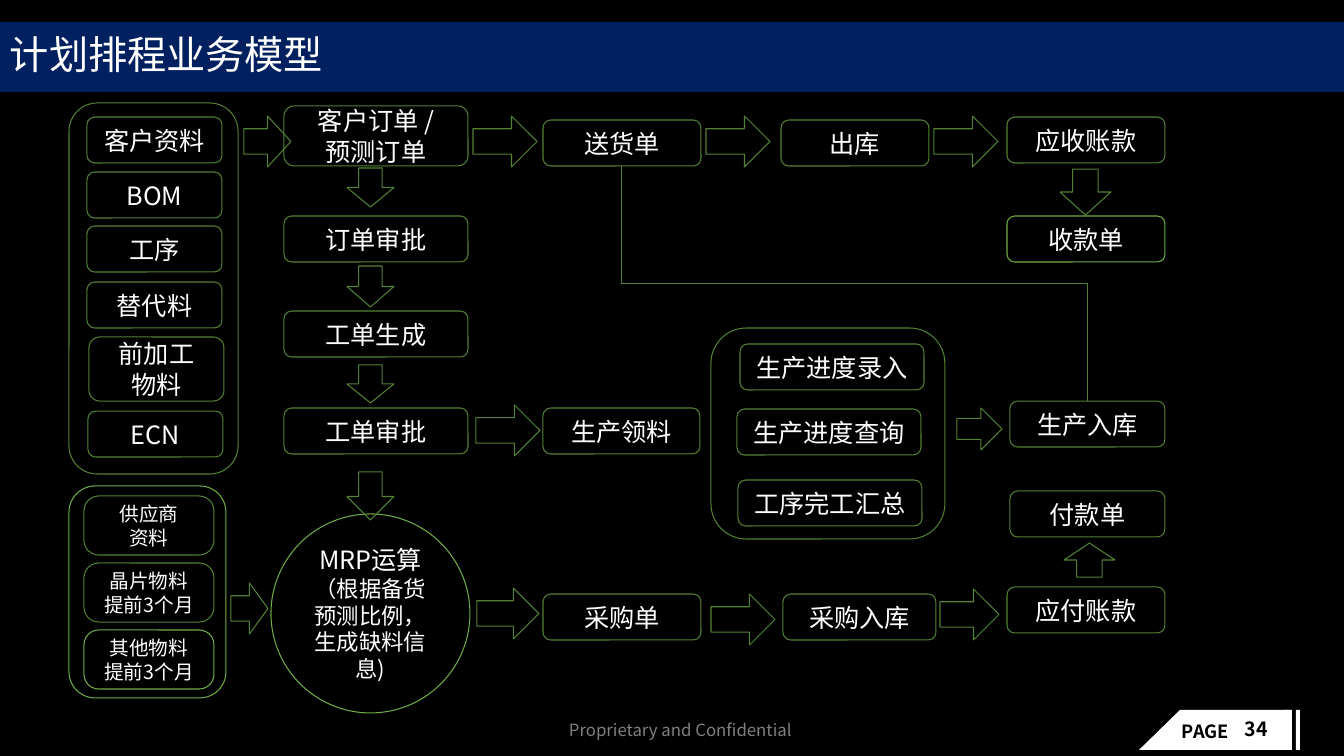
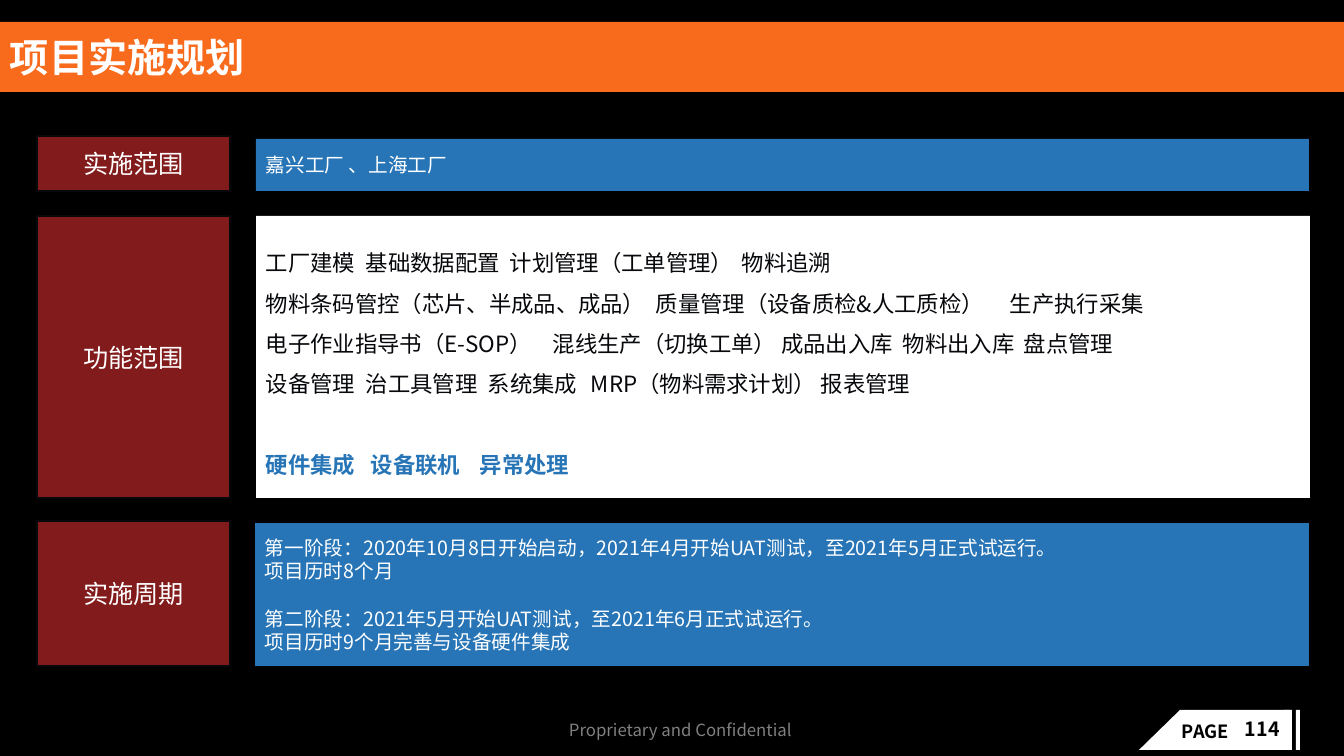
"""Build two planning slides: a scheduling flow and a project scope table."""
from dataclasses import dataclass
from typing import Optional, Sequence

from lxml import etree
from pptx import Presentation
from pptx import util as u
from pptx.dml.color import RGBColor
from pptx.enum import shapes, text
from pptx.oxml import ns

EMU_PER_INCH = 914400
PX_PER_INCH = 100.8
W, H = 1344, 756
SHAPE = shapes.MSO_SHAPE
ALIGN = text.PP_ALIGN


@dataclass(frozen=True)
class Theme:
    """Colours, font and type sizes."""
    font: str = "Noto Sans CJK SC"
    back: str = "000000"
    white: str = "FFFFFF"
    ink: str = "07080B"
    grey: str = "808080"
    navy: str = "002060"
    orange: str = "F86B1D"
    red: str = "DE3031"
    blue: str = "2775B6"
    green: str = "548235"
    bright: str = "70AD47"
    title: int = 28
    node: int = 18
    body: int = 16
    small: int = 14
    tag: int = 13
    footer: int = 12


T = Theme()


@dataclass(frozen=True)
class Box:
    """Position and size in px."""
    x: int
    y: int
    w: int
    h: int


@dataclass(frozen=True)
class Para:
    """A paragraph; cells are separated by tab stops given in px."""
    cells: tuple[str, ...]
    size: int = T.node
    color: str = T.white
    bold: bool = False
    spacing: Optional[float] = None
    before: int = 0
    tabs: tuple[int, ...] = ()


@dataclass(frozen=True)
class Node:
    """A rounded step of the flow."""
    lines: tuple[str, ...]
    box: Box
    size: int = T.node
    line: str = T.green
    corner: Optional[float] = None


@dataclass(frozen=True)
class Arrow:
    """A hollow block arrow."""
    kind: SHAPE
    box: Box


@dataclass(frozen=True)
class ScopeRow:
    """A label with its content panel."""
    label: str
    label_box: Box
    box: Box
    fill: str
    paras: tuple[Para, ...]


def px(n: float) -> int:
    """Turn px into EMU."""
    return u.Emu(round(n * EMU_PER_INCH / PX_PER_INCH))


def place(box: Box) -> tuple[int, ...]:
    """Give a box as EMU arguments."""
    return tuple(px(n) for n in (box.x, box.y, box.w, box.h))


def rgb(color: str) -> RGBColor:
    """Parse a hex colour."""
    return RGBColor.from_string(color)


def write(sp, paras: Sequence[Para], align=ALIGN.LEFT, wrap: bool = True,
          anchor=text.MSO_ANCHOR.MIDDLE) -> None:
    """Fill a shape with paragraphs."""
    tf = sp.text_frame
    tf.word_wrap = wrap
    tf.vertical_anchor = anchor
    for i, para in enumerate(paras):
        p = tf.paragraphs[0] if i == 0 else tf.add_paragraph()
        p.alignment = align
        if para.spacing:
            p.line_spacing = para.spacing
        if para.before:
            p.space_before = u.Pt(para.before)
        if para.tabs:
            stops = etree.SubElement(p._p.get_or_add_pPr(), ns.qn("a:tabLst"))
            for stop in para.tabs:
                etree.SubElement(stops, ns.qn("a:tab"), pos=str(px(stop)), algn="l")
        r = p.add_run()
        r.text = "\t".join(para.cells)
        r.font.size = u.Pt(para.size)
        r.font.bold = para.bold
        r.font.color.rgb = rgb(para.color)
        r.font.name = T.font
        etree.SubElement(r.font._element, ns.qn("a:ea"), typeface=T.font)


def draw(s, kind: SHAPE, box: Box, fill: Optional[str] = None,
         line: Optional[str] = None, width: float = 0.75):
    """Add a preset shape without shadow."""
    sp = s.shapes.add_shape(kind, *place(box))
    sp.shadow.inherit = False
    if fill:
        sp.fill.solid()
        sp.fill.fore_color.rgb = rgb(fill)
    else:
        sp.fill.background()
    if line:
        sp.line.color.rgb = rgb(line)
        sp.line.width = u.Pt(width)
    else:
        sp.line.fill.background()
    return sp


def label(s, box: Box, para: Para) -> None:
    """Add a one-line text box."""
    write(s.shapes.add_textbox(*place(box)), [para], wrap=False,
          anchor=text.MSO_ANCHOR.TOP)


def base_slide(prs, title: str, band: str, page: int, bold: bool = False):
    """Add a slide with background, title band and footer."""
    s = prs.slides.add_slide(prs.slide_layouts[6])
    s.background.fill.solid()
    s.background.fill.fore_color.rgb = rgb(T.back)
    for box in (Box(1180, 710, 110, 40), Box(1284, 710, 8, 40), Box(1296, 710, 4, 40)):
        draw(s, SHAPE.RECTANGLE, box, T.white)
    corner = draw(s, SHAPE.RIGHT_TRIANGLE, Box(1139, 710, 41, 40), T.white)
    corner._element.spPr.find(ns.qn("a:xfrm")).set("flipH", "1")
    label(s, Box(1172, 715, 74, 32), Para(("PAGE",), T.tag, T.back, True))
    label(s, Box(1235, 715, 58, 32), Para((str(page),), T.small, T.back, True, 0.9))
    label(s, Box(559, 715, 258, 30),
          Para(("Proprietary and Confidential",), T.footer, T.grey))
    sp = draw(s, SHAPE.RECTANGLE, Box(0, 22, W, 70), band)
    write(sp, [Para((title,), T.title, bold=bold, spacing=0.9)])
    if bold:
        sp.text_frame.margin_bottom = 0
    return s


def draw_node(s, node: Node):
    """Draw a step of the flow."""
    sp = draw(s, SHAPE.ROUNDED_RECTANGLE, node.box, line=node.line)
    if node.corner:
        sp.adjustments[0] = node.corner
    write(sp, [Para((t,), node.size) for t in node.lines], ALIGN.CENTER)
    return sp


def elbow_up(s, lower, upper) -> None:
    """Join a top side to a bottom side further up and to the left."""
    c = s.shapes.add_connector(shapes.MSO_CONNECTOR.ELBOW, 0, 0, 0, 0)
    c.begin_connect(lower, 0)
    c.end_connect(upper, 2)
    across, rise = c.begin_x - c.end_x, c.begin_y - c.end_y
    mid_x, mid_y = (c.begin_x + c.end_x) // 2, (c.begin_y + c.end_y) // 2
    xfrm = c._element.spPr.find(ns.qn("a:xfrm"))
    xfrm.attrib.pop("flipH", None)
    xfrm.set("flipV", "1")
    xfrm.set("rot", str(270 * 60000))
    c.left, c.top = mid_x - rise // 2, mid_y - across // 2
    c.width, c.height = rise, across
    c.line.color.rgb = rgb(T.green)
    c.line.width = u.Pt(0.75)
    etree.SubElement(c._element.spPr, ns.qn("a:effectLst"))


def step(name: str, x: int, y: int, w: int, line: str = T.green) -> Node:
    """Describe a one-line step of standard height."""
    return Node((name,), Box(x, y, w, 46), line=line)


MASTER_DATA = [step(name, x, y, 135) for name, x, y in (
    ("客户资料", 87, 117), ("BOM", 87, 172), ("工序", 87, 226),
    ("替代料", 87, 282), ("ECN", 88, 411))]
SUPPLY_DATA = [
    Node(lines, Box(84, 496 + 67 * i, 130, 59), T.small, line, 0.25)
    for i, (lines, line) in enumerate((
        (("供应商", "资料"), T.green),
        (("晶片物料", "提前3个月"), T.green),
        (("其他物料", "提前3个月"), T.bright)))]
STEPS = [
    Node(("前加工", "物料"), Box(89, 337, 135, 64)),
    Node(("客户订单 /", "预测订单"), Box(284, 106, 184, 60)),
    step("订单审批", 284, 216, 184),
    step("工单生成", 284, 311, 184),
    step("工单审批", 284, 408, 184),
    step("出库", 781, 120, 148),
    step("应收账款", 1007, 117, 158),
    step("收款单", 1007, 216, 158, T.bright),
    step("生产领料", 543, 408, 157),
    step("生产进度录入", 740, 344, 184),
    step("生产进度查询", 737, 409, 184),
    step("工序完工汇总", 738, 480, 184),
    step("付款单", 1010, 491, 155),
    step("采购单", 543, 594, 158),
    step("采购入库", 783, 594, 153),
    step("应付账款", 1007, 587, 158),
]
DELIVERY = step("送货单", 543, 120, 158)
STOCK_IN = step("生产入库", 1010, 401, 155)
PANELS = ((Box(69, 103, 169, 371), T.green), (Box(711, 328, 234, 211), T.green),
          (Box(69, 486, 157, 212), T.bright))
ARROWS = [Arrow(SHAPE.DOWN_ARROW, Box(347, y, 47, h))
          for y, h in ((168, 39), (266, 41), (365, 38), (472, 48))]
ARROWS += [Arrow(SHAPE.RIGHT_ARROW, Box(x, y, w, 51)) for x, y, w in (
    (244, 116, 47), (473, 116, 64), (706, 116, 64), (934, 116, 64), (476, 405, 64),
    (231, 583, 37), (477, 588, 62), (711, 594, 64), (940, 589, 59))]
ARROWS += [Arrow(SHAPE.RIGHT_ARROW, Box(957, 408, 45, 42)),
           Arrow(SHAPE.DOWN_ARROW, Box(1060, 169, 51, 46)),
           Arrow(SHAPE.UP_ARROW, Box(1064, 543, 51, 34))]

FEATURES = (
    (("工厂建模", "基础数据配置", "计划管理（工单管理）", "物料追溯"), (100, 244, 476)),
    (("物料条码管控（芯片、半成品、成品）", "质量管理（设备质检&人工质检）", "生产执行采集"),
     (390, 744)),
    (("电子作业指导书（E-SOP）", "混线生产（切换工单） 成品出入库", "物料出入库", "盘点管理"),
     (287, 637, 758)),
    (("设备管理", "治工具管理", "系统集成", "MRP（物料需求计划） 报表管理"), (100, 222, 325)),
)
PHASES = (
    ("第一阶段：2020年10月8日开始启动，2021年4月开始UAT测试，至2021年5月正式试运行。", 0),
    ("项目历时8个月", 0),
    ("第二阶段：2021年5月开始UAT测试，至2021年6月正式试运行。", 17),
    ("项目历时9个月完善与设备硬件集成", 0),
)
ROWS = (
    ScopeRow("实施范围", Box(37, 136, 193, 55), Box(256, 139, 1053, 52), T.blue,
             (Para(("嘉兴工厂 、上海工厂",), T.small),)),
    ScopeRow("功能范围", Box(37, 216, 193, 282), Box(256, 216, 1054, 282), T.white,
             tuple(Para(cells, T.body, T.ink, spacing=1.5, tabs=tabs)
                   for cells, tabs in FEATURES)
             + (Para(("硬件集成", "设备联机", "异常处理"), T.body, T.blue, True, 1.5, 29,
                     (105, 214)),)),
    ScopeRow("实施周期", Box(37, 521, 193, 145), Box(255, 523, 1054, 143), T.blue,
             tuple(Para((line,), T.small, before=gap) for line, gap in PHASES)),
)


def flow_slide(prs) -> None:
    """Draw the scheduling flow."""
    s = base_slide(prs, "计划排程业务模型", T.navy, 34)
    for box, line in PANELS:
        draw(s, SHAPE.ROUNDED_RECTANGLE, box, line=line)
    for node in MASTER_DATA + SUPPLY_DATA + STEPS:
        draw_node(s, node)
    mrp = draw(s, SHAPE.OVAL, Box(271, 514, 199, 199), line=T.bright)
    write(mrp, [Para(("MRP运算",)),
                Para(("（根据备货预测比例，生成缺料信息)",), T.body)], ALIGN.CENTER)
    for arrow in ARROWS:
        draw(s, arrow.kind, arrow.box, line=T.green)
    elbow_up(s, draw_node(s, STOCK_IN), draw_node(s, DELIVERY))


def scope_slide(prs) -> None:
    """Draw the project scope rows."""
    s = base_slide(prs, "项目实施规划", T.orange, 114, bold=True)
    for row in ROWS:
        sp = draw(s, SHAPE.RECTANGLE, row.label_box, T.red, T.ink, 1)
        color = sp._element.spPr.find(ns.qn("a:solidFill"))[0]
        etree.SubElement(color, ns.qn("a:alpha"), val="59000")
        write(sp, [Para((row.label,))], ALIGN.CENTER)
        write(draw(s, SHAPE.RECTANGLE, row.box, row.fill), row.paras)


def main() -> None:
    """Build and save the presentation."""
    prs = Presentation()
    prs.slide_width, prs.slide_height = px(W), px(H)
    flow_slide(prs)
    scope_slide(prs)
    prs.save("out.pptx")


if __name__ == "__main__":
    main()
